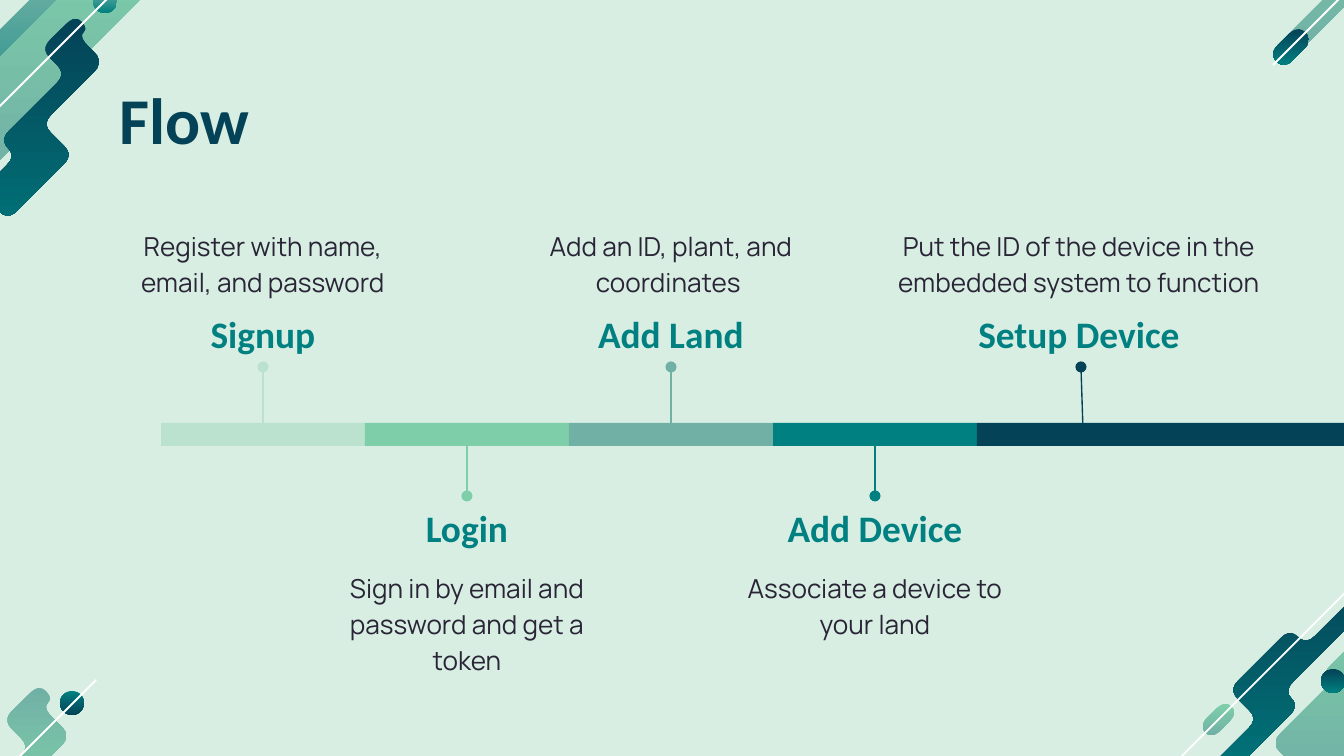
from itertools import cycle
from lxml import etree
from pptx import Presentation
from pptx.dml.color import RGBColor
from pptx.enum.shapes import MSO_CONNECTOR, MSO_SHAPE
from pptx.enum.text import MSO_ANCHOR, MSO_AUTO_SIZE, PP_ALIGN
from pptx.oxml.ns import qn
from pptx.util import Emu, Pt

PX = 914400 / 134.4
COLORS = {
    "background": "D8EEE3", "mist": "BBE2CF", "mint": "7ECFA9", "sage": "71B1A5",
    "teal": "008080", "navy": "044257", "ink": "292536", "white": "FFFFFF",
}
RGB = {name: RGBColor.from_string(value) for name, value in COLORS.items()}


def px(*lengths):
    return [Emu(round(n * PX)) for n in lengths]


def style_text(tf, text, font, size, color, align, anchor):
    tf.word_wrap = True
    tf.auto_size = MSO_AUTO_SIZE.NONE
    tf.vertical_anchor = anchor
    tf.margin_left = tf.margin_right = tf.margin_top = tf.margin_bottom = Pt(7.2)
    p = tf.paragraphs[0]
    p.text = text
    p.alignment = align
    p.font.name = font
    p.font.size = Pt(size)
    p.font.bold = font == "Calibri"
    p.font.color.rgb = RGB[color]
    return p


prs = Presentation()
prs.slide_width, prs.slide_height = px(1344, 756)
s = prs.slides.add_slide(prs.slide_layouts[5])
s.background.fill.solid()
s.background.fill.fore_color.rgb = RGB["background"]

# Corner ornaments: top colour, bottom colour, start x and y, then a walk whose
# moves alternate between the rising and the falling diagonal
ROUNDING = 9
blobs = [
    ("mint", "sage", 1279, 44, [196, 14, -196]),
    ("navy", "teal", 1269, 54, [29, 15, -29]),
    ("sage", "mint", 53, 698, [-10, 28, -68, -15, 42, -27, 36]),
    ("mint", "sage", 106, -66, [-187, 60, 80, -10, 107]),
    ("sage", "teal", -123, 153, [181, 13, -181]),
    ("navy", "teal", 75, 15, [-34, 25, -66, 16, -129, 12, 93, 16, 65, -31, 62, -25, 9]),
    ("mint", "sage", 1322, 674, [100, 56, -160, -47, 60]),
    ("mint", "sage", 1199, 726, [26, 13, -26]),
    ("navy", "teal", 1394, 557, [-88, -16, -61, 29, -59, 24, -8, 13, 32, -23, 62, -15, 122]),
]
dots = [("sage", "teal", 93, -11), ("teal", "navy", 60, 691), ("navy", "teal", 1321, 669)]

ornaments = []
for top, bottom, x, y, walk in blobs:
    corners = [(x, y)]
    for move, slope in zip(walk, cycle((-1, 1))):
        x, y = x + move, y + move * slope
        corners.append((x, y))
    outline = []
    for i, (x, y) in enumerate(corners):
        ends = []
        for nx, ny in (corners[i - 1], corners[(i + 1) % len(corners)]):
            t = min(ROUNDING / abs(nx - x), 0.5)
            ends.append((x + (nx - x) * t, y + (ny - y) * t))
        (ax, ay), (bx, by) = ends
        for k in range(6):
            t = k / 5
            a, m, b = (1 - t) ** 2, 2 * t * (1 - t), t ** 2
            outline.append(px(a * ax + m * x + b * bx, a * ay + m * y + b * by))
    builder = s.shapes.build_freeform(*outline[0])
    builder.add_line_segments(outline[1:], close=True)
    ornaments.append((builder.convert_to_shape(), top, bottom))
for top, bottom, x, y in dots:
    ornaments.append((s.shapes.add_shape(MSO_SHAPE.OVAL, *px(x, y, 24, 24)), top, bottom))
for sp, top, bottom in ornaments:
    sp.shadow.inherit = False
    sp.line.fill.background()
    sp.fill.gradient()
    sp.fill.gradient_angle = 270
    for stop, color in zip(sp.fill.gradient_stops, (top, bottom)):
        stop.color.rgb = RGB[color]

connectors = []
for x, y, run in [(1273, 65, 386), (-97, 203, 358), (1108, 830, 307), (-262, 1038, 358)]:
    line = s.shapes.add_connector(MSO_CONNECTOR.STRAIGHT, *px(x, y, x + run, y - run))
    connectors.append((line, "white", 1))

title = s.shapes.title
title.left, title.top, title.width, title.height = px(106, 66, 1133, 84)
style_text(title.text_frame, "Flow", "Calibri", 35, "navy", PP_ALIGN.LEFT, MSO_ANCHOR.TOP)

# Timeline: steps alternate above and below the bar
steps = [
    ("Signup", "Register with name, email, and password", "mist"),
    ("Login", "Sign in by email and password and get a token", "mint"),
    ("Add Land", "Add an ID, plant, and coordinates ", "sage"),
    ("Add Device", "Associate a device to your land", "teal"),
    ("Setup Device", "Put the ID of the device in the embedded system to function", "navy"),
]
START, STEP = 161, 204
for i, (name, detail, color) in enumerate(steps):
    above, last = i % 2 == 0, i == len(steps) - 1
    left = START + i * STEP
    center = left + STEP // 2
    bar = s.shapes.add_shape(MSO_SHAPE.RECTANGLE, *px(left, 423, 382 if last else STEP, 23))
    bar.shadow.inherit = False
    bar.fill.solid()
    bar.fill.fore_color.rgb = RGB[color]
    bar.line.fill.background()

    dot_y = 367 if above else 496
    if last:
        ends = (center + 4, 429, center + 2, dot_y)
    else:
        ends = (center, 423 if above else 446, center, dot_y)
    line = s.shapes.add_connector(MSO_CONNECTOR.STRAIGHT, *px(*ends))
    if not last:
        line.begin_connect(bar, 0 if above else 2)
    connectors.append((line, color, 0.75))

    name_y, detail_y = (298, 226) if above else (496, 554)
    name_anchor, detail_anchor = MSO_ANCHOR.TOP, MSO_ANCHOR.BOTTOM
    if not above:
        name_anchor, detail_anchor = detail_anchor, name_anchor
    box = s.shapes.add_textbox(*px(center - 157, name_y, 314, 67))
    style_text(box.text_frame, name, "Calibri", 20, "teal", PP_ALIGN.CENTER, name_anchor)
    width = 438 if last else 314
    box = s.shapes.add_textbox(*px(center - width // 2, detail_y, width, 85))
    p = style_text(box.text_frame, detail, "Manrope", 14, "ink", PP_ALIGN.CENTER, detail_anchor)
    p.line_spacing = 1.15

for line, color, weight in connectors:
    line.line.color.rgb = RGB[color]
    line.line.width = Pt(weight)
    if color != "white":
        etree.SubElement(line.line._get_or_add_ln(), qn("a:tailEnd"), type="oval")
    etree.SubElement(line._element.spPr, qn("a:effectLst"))

prs.save("out.pptx")
